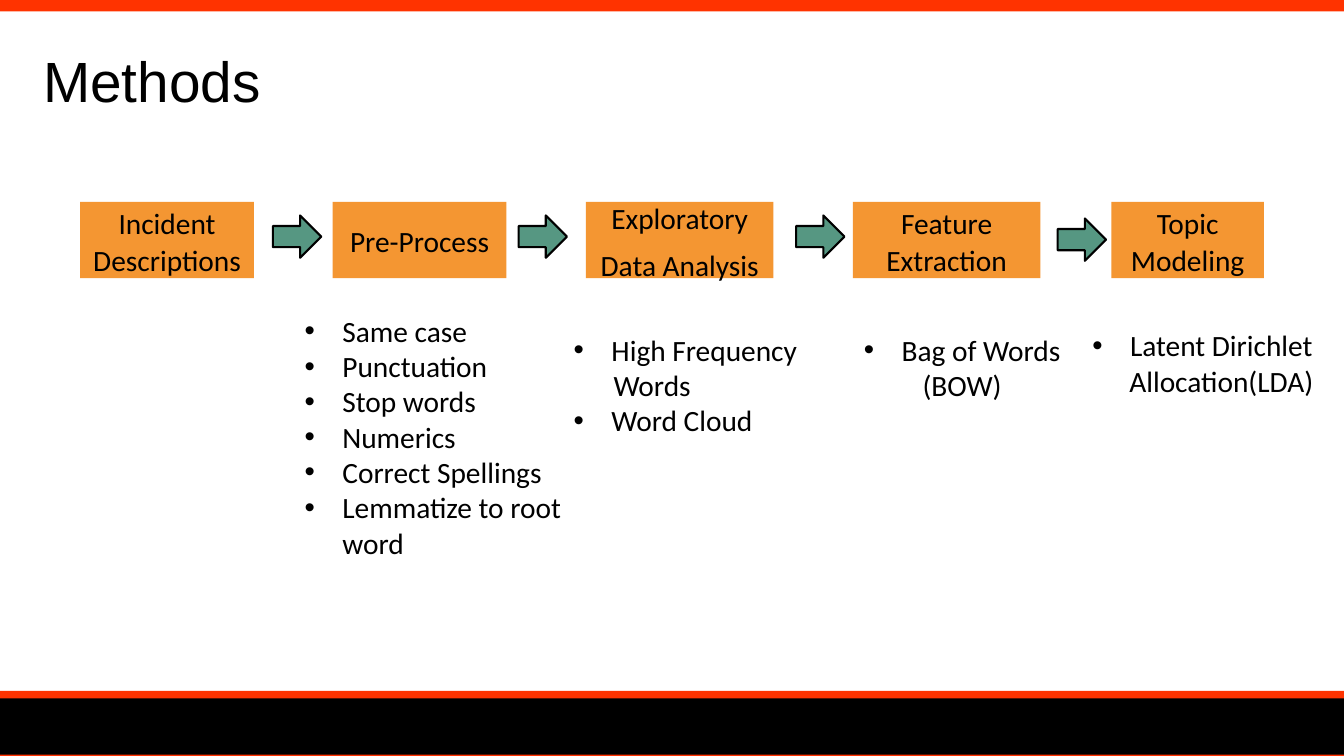
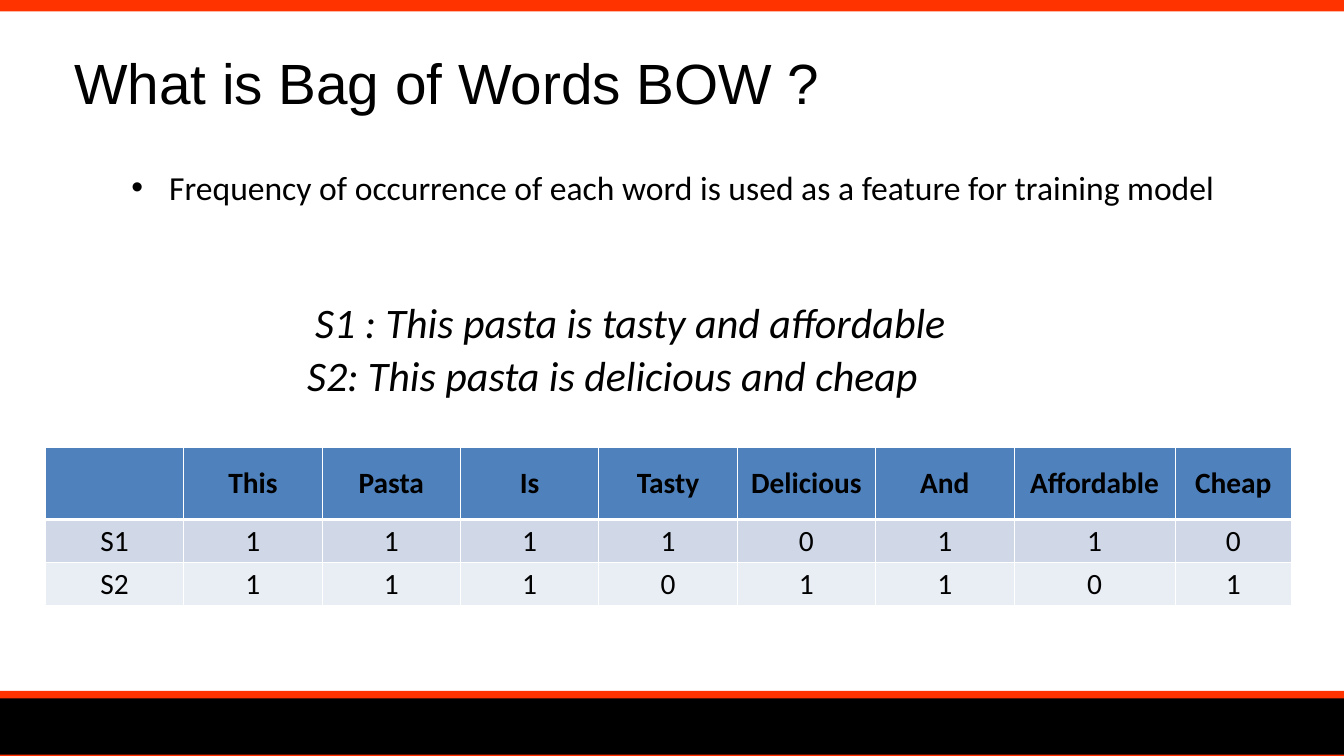
import pptx
import pptx.util
import pptx.dml.color
import pptx.enum.shapes
import pptx.enum.text
import pptx.oxml.ns
import lxml.etree

Pt = pptx.util.Pt
RGBColor = pptx.dml.color.RGBColor
Shape = pptx.enum.shapes.MSO_SHAPE
Align = pptx.enum.text.PP_ALIGN
Anchor = pptx.enum.text.MSO_ANCHOR
AutoSize = pptx.enum.text.MSO_AUTO_SIZE
qn = pptx.oxml.ns.qn

BLACK = RGBColor(0x00, 0x00, 0x00)
WHITE = RGBColor(0xFF, 0xFF, 0xFF)
RED = RGBColor(0xFF, 0x33, 0x00)
ORANGE = RGBColor(0xF4, 0x96, 0x32)
GREEN = RGBColor(0x56, 0x97, 0x82)
HEADER_BLUE = RGBColor(0x4F, 0x81, 0xBD)
ROW_BLUES = (RGBColor(0xD0, 0xD8, 0xE8), RGBColor(0xE9, 0xED, 0xF4))

HEADING = {"name": "Arial", "size": Pt(54), "bold": False}
BODY = {"name": "Calibri", "size": Pt(28)}
STEP = {"alignment": Align.CENTER, "line_spacing": 1.07, "space_after": Pt(8)}
BULLET_INDENT = 36


class Builder:
    """Holds the deck, its style and the current page."""

    def __init__(self, width, height):
        self.deck = pptx.Presentation()
        self.deck.slide_width, self.deck.slide_height = Pt(width), Pt(height)
        self.page = None

    def new_page(self, title, left, top):
        first = self.page is None
        self.page = self.deck.slides.add_slide(self.deck.slide_layouts[5])
        if first:
            self.master_bands()
        box = self.page.shapes.title
        box.left, box.top, box.width, box.height = map(Pt, (left, top, 975, 72.7))
        frame = box.text_frame
        frame.auto_size = AutoSize.NONE
        frame.vertical_anchor = Anchor.BOTTOM
        self.fill_para(frame.paragraphs[0], title, HEADING, {"alignment": Align.LEFT})

    def master_bands(self):
        """Draws the bands and hands them to the master, for every page."""
        bands = [
            (RED, 0, 0, 1282, 10.8),
            (BLACK, -2, 664, 1283, 58),
            (RED, -2, 658, 1282, 7.2),
            (RED, -1, 718.6, 1282, 3.6),
        ]
        for number, (color, *place) in enumerate(bands):
            band = self.shape(Shape.RECTANGLE, place, color)
            band.name = f"Band {number + 1}"
            band.element.xpath(".//p:cNvPr")[0].set("id", str(100 + number))
            self.deck.slide_master.shapes.element.append(band.element)

    def fill_para(self, para, text, font=None, layout=None):
        for name, value in (layout or {}).items():
            setattr(para, name, value)
        span = para.add_run()
        span.text = text
        for name, value in {**BODY, **(font or {})}.items():
            setattr(span.font, name, value)
        span.font.color.rgb = BLACK

    def indent(self, para, left, bullet=False):
        props = para._p.get_or_add_pPr()
        props.set("marL", str(Pt(left)))
        props.set("indent", str(Pt(-left if bullet else 0)))
        if bullet:
            lxml.etree.SubElement(props, qn("a:buFont")).set("typeface", "Arial")
            lxml.etree.SubElement(props, qn("a:buChar")).set("char", "•")

    def shape(self, kind, place, color, outline=None):
        shape = self.page.shapes.add_shape(kind, *map(Pt, place))
        shape.shadow.inherit = False
        shape.fill.solid()
        shape.fill.fore_color.rgb = color
        if outline is not None:
            shape.line.color.rgb = outline
            shape.line.width = Pt(2)
        else:
            shape.line.fill.background()
        return shape

    def step(self, place, *lines):
        frame = self.shape(Shape.RECTANGLE, place, ORANGE).text_frame
        frame.word_wrap = True
        frame.vertical_anchor = Anchor.MIDDLE
        for number, line in enumerate(lines):
            para = frame.add_paragraph() if number else frame.paragraphs[0]
            self.fill_para(para, line, layout=STEP)

    def arrow(self, left, top):
        self.shape(Shape.RIGHT_ARROW, (left, top, 46.1, 40.3), GREEN, BLACK)

    def text(self, place, lines, font=None, layout=None):
        """Each line is (text, left indent, has bullet)."""
        frame = self.page.shapes.add_textbox(*map(Pt, place)).text_frame
        frame.word_wrap = True
        for number, (line, left, bullet) in enumerate(lines):
            para = frame.add_paragraph() if number else frame.paragraphs[0]
            self.fill_para(para, line, font, layout)
            self.indent(para, left, bullet)
        return frame

    def border(self, cell, **widths):
        props = cell._tc.get_or_add_tcPr()
        for number, side in enumerate("LRTB"):
            line = lxml.etree.Element(qn(f"a:ln{side}"), w=str(Pt(widths.get(side, 1))))
            fill = lxml.etree.SubElement(line, qn("a:solidFill"))
            lxml.etree.SubElement(fill, qn("a:srgbClr")).set("val", str(WHITE))
            props.insert(number, line)

    def table(self, left, top, columns, heights, rows):
        size = (left, top, sum(columns), sum(heights))
        table = self.page.shapes.add_table(len(rows), len(columns), *map(Pt, size)).table
        table.horz_banding = False
        for column, width in zip(table.columns, columns):
            column.width = Pt(width)
        for row, height in zip(table.rows, heights):
            row.height = Pt(height)
        for r, values in enumerate(rows):
            for c, value in enumerate(values):
                cell = table.cell(r, c)
                cell.vertical_anchor = Anchor.MIDDLE
                cell.fill.solid()
                cell.fill.fore_color.rgb = ROW_BLUES[(r - 1) % 2] if r else HEADER_BLUE
                self.border(cell, T=3 if r == 1 else 1, B=1 if r else 3)
                if value != "":
                    self.fill_para(cell.text_frame.paragraphs[0], str(value),
                                   {"bold": r == 0}, {"alignment": Align.CENTER})


def bullets(*lines):
    return [(line, BULLET_INDENT, True) for line in lines]


builder = Builder(1280, 720)

# Methods: the steps in a row
builder.new_page("Methods", 33.8, 38.9)
STEPS = [
    (76.3, 165.6, ["Incident Descriptions"]),
    (316.8, 165.6, ["Pre-Process"]),
    (558, 178.6, ["Exploratory", "Data Analysis"]),
    (812.2, 178.6, ["Feature Extraction"]),
    (1058.4, 145.4, ["Topic Modeling"]),
]
for left, width, lines in STEPS:
    builder.step((left, 192.2, width, 72.7), *lines)
for left, top in [(259.9, 205.2), (493.9, 205.2), (758.2, 205.2), (1007.3, 208.1)]:
    builder.arrow(left, top)

# Methods: details under the steps
CENTERED = {"alignment": Align.CENTER}
builder.text((283, 294.5, 318.2, 312.5),
             bullets("Same case", "Punctuation", "Stop words", "Numerics",
                     "Correct Spellings", "Lemmatize to root word"))
builder.text((539.3, 312.5, 229.7, 143.3),
             bullets("High Frequency") + [("Words", 38, False)] + bullets("Word Cloud"))
builder.text((801.4, 312.5, 229.7, 74.9),
             bullets("Bag of Words") + [("(BOW)", 0, False)], layout=CENTERED)
builder.text((1030.3, 308.2, 229.7, 74.9),
             bullets("Latent Dirichlet Allocation(LDA)"), layout=CENTERED)

# Bag of words: sentences and their word counts
builder.new_page("What is Bag of Words BOW ?", 63.4, 41)
sentences = builder.text(
    (95.8, 269.3, 975, 116.6),
    [("S1 : This pasta is tasty and affordable", 34, False),
     ("S2: This pasta is delicious and cheap", 0, False)],
    {"size": Pt(40), "italic": True}, {**CENTERED, "space_after": Pt(3)})
sentences.margin_top = Pt(13)
builder.table(
    43.2, 426.2, [131.8] * 7 + [153.4, 110.9], [68.4, 41, 41],
    [["", "This", "Pasta", "Is", "Tasty", "Delicious", "And", "Affordable", "Cheap"],
     ["S1", 1, 1, 1, 1, 0, 1, 1, 0],
     ["S2", 1, 1, 1, 0, 1, 1, 0, 1]])
builder.text(
    (118.1, 155.5, 1152, 46.1),
    bullets("Frequency of occurrence of each word is used as a feature for training model"),
    {"size": Pt(32)})

builder.deck.save("out.pptx")
